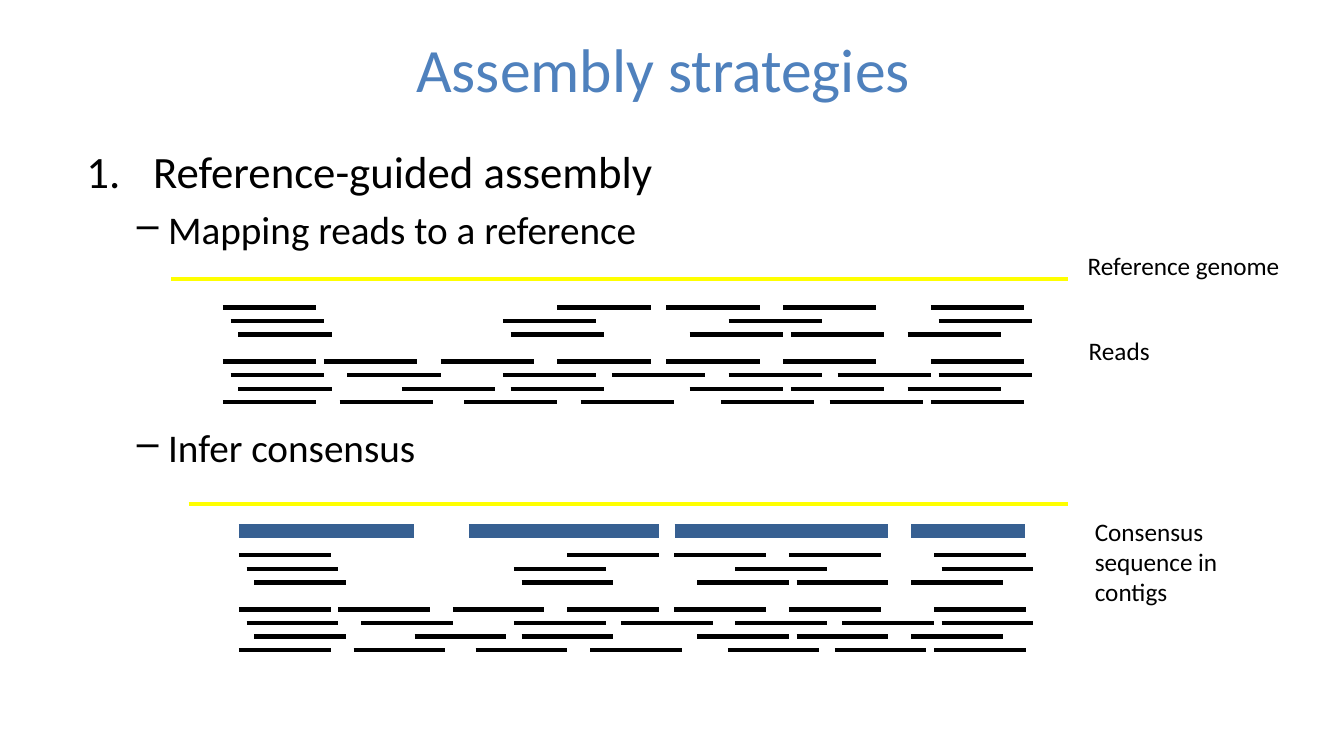
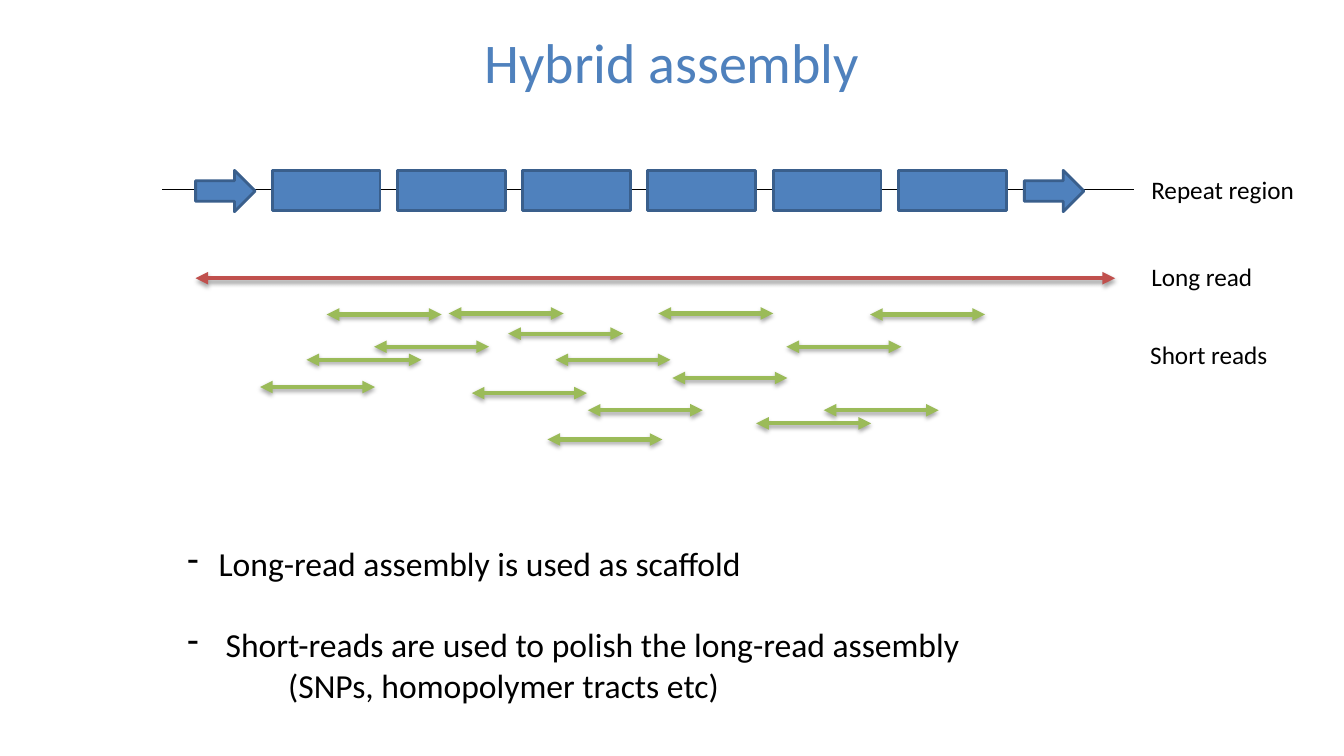
from pptx import Presentation
from pptx.dml.color import RGBColor
from pptx.enum.shapes import MSO_CONNECTOR, MSO_SHAPE
from pptx.enum.text import MSO_ANCHOR, PP_ALIGN
from pptx.oxml import parse_xml
from pptx.oxml.ns import nsdecls, qn
from pptx.util import Inches, Pt

COLORS = {
    "text": "000000",
    "title": "4F81BD",
    "reference": "FFFF00",
    "contig": "376092",
    "repeat": "4F81BD",
    "repeat_line": "3A5F8C",
    "long_read": "C0504D",
    "short_read": "9BBB59",
}
FONT = "Calibri"
SHADOW = (
    '<a:outerShdw blurRad="39370" dist="22860" dir="5400000" rotWithShape="0">'
    '<a:srgbClr val="000000"><a:alpha val="35000"/></a:srgbClr></a:outerShdw>'
)


def add_text(slide, box, items, color="text", centered=False):
    """Each item is (text, size, bullet XML, left margin, hanging indent, space before)."""
    shape = slide.shapes.add_textbox(*[Inches(value) for value in box])
    frame = shape.text_frame
    frame.word_wrap = True
    if centered:
        frame.vertical_anchor = MSO_ANCHOR.MIDDLE
    for index, (text, size, bullet, margin, hanging, before) in enumerate(items):
        paragraph = frame.paragraphs[0] if index == 0 else frame.add_paragraph()
        properties = paragraph._p.get_or_add_pPr()
        properties.set("marL", str(Inches(margin)))
        properties.set("indent", str(-Inches(hanging)))
        if bullet:
            properties.append(parse_xml(bullet.replace("/>", f" {nsdecls('a')}/>")))
        paragraph.text = text
        paragraph.space_before = Pt(before)
        paragraph.alignment = PP_ALIGN.CENTER if centered else PP_ALIGN.LEFT
        paragraph.font.name = FONT
        paragraph.font.size = Pt(size)
        paragraph.font.color.rgb = RGBColor.from_string(COLORS[color])


def add_line(slide, left, right, y, color, width, arrows=False):
    """Horizontal line; with arrows it has two heads and a soft shadow."""
    connector = slide.shapes.add_connector(
        MSO_CONNECTOR.STRAIGHT, Inches(left), Inches(y), Inches(right), Inches(y))
    connector.line.color.rgb = RGBColor.from_string(COLORS[color])
    connector.line.width = Pt(width)
    properties = connector._element.spPr
    if arrows:
        for end in ("headEnd", "tailEnd"):
            properties.find(qn("a:ln")).append(
                parse_xml(f'<a:{end} {nsdecls("a")} type="triangle"/>'))
    effects = SHADOW if arrows else ""
    properties.append(parse_xml(f'<a:effectLst {nsdecls("a")}>{effects}</a:effectLst>'))


presentation = Presentation()
presentation.slide_width = Inches(13.33)
presentation.slide_height = Inches(7.5)

# Slides with their titles
slides = []
for title, size, box in [
    ("Assembly strategies", 44, (0.58, 0.05, 12, 1.25)),
    ("Hybrid assembly", 40, (0, -0.02, 13.33, 1.25)),
]:
    slide = presentation.slides.add_slide(presentation.slide_layouts[6])
    add_text(slide, box, [(title, size, None, 0, 0, 0)], "title", centered=True)
    slides.append(slide)
strategies, hybrid = slides

# Text blocks
number = '<a:buAutoNum type="arabicPeriod"/>'
long_dash = '<a:buChar char="–"/>'
short_dash = '<a:buChar char="-"/>'
add_text(strategies, (0.76, 1.38, 9.83, 3.95), [
    ("Reference-guided assembly", 32, number, 0.66, 0.66, 0),
    ("Mapping reads to a reference", 28, long_dash, 0.81, 0.31, 5.6),
    ("Infer consensus", 28, long_dash, 0.81, 0.31, 122),
])
add_text(hybrid, (1.76, 5.34, 9.35, 1.72), [
    ("Long-read assembly is used as scaffold", 24, short_dash, 0.31, 0.31, 0),
    ("Short-reads are used to polish the long-read assembly", 24, short_dash, 0.38, 0.38, 29),
    ("(SNPs, homopolymer tracts etc)", 24, None, 1, 0, 0),
])

# Labels on the right
for slide, text, box in [
    (strategies, "Reference genome", (10.69, 2.43, 2.17, 0.4)),
    (strategies, "Reads", (10.7, 3.28, 1.83, 0.4)),
    (strategies, "Consensus sequence in contigs", (10.76, 5.07, 1.71, 1.01)),
    (hybrid, "Repeat region", (11.32, 1.68, 1.88, 0.4)),
    (hybrid, "Long read", (11.32, 2.54, 1.72, 0.4)),
    (hybrid, "Short reads", (11.31, 3.32, 1.43, 0.4)),
]:
    add_text(slide, box, [(text, 18, None, 0, 0, 0)])

# Mapped reads: row number and read starts, in grid units
READ_ROWS = {
    0: [0, 43, 57, 72, 91],
    1: [1, 36, 65, 92],
    2: [2, 37, 60, 73, 88],
    4: [0, 13, 28, 43, 57, 72, 91],
    5: [1, 16, 36, 50, 65, 79, 92],
    6: [2, 23, 37, 60, 73, 88],
    7: [0, 15, 31, 46, 64, 78, 91],
}
READ_UNITS = 12
ROW_STEP = 0.94 / 7
for left, last_start, top, reference_left, reference_y in [
    (2.21, 9.31, 3.05, 1.7, 2.77),
    (2.37, 9.34, 5.51, 1.87, 5),
]:
    unit = (last_start - left) / 92
    for row, starts in READ_ROWS.items():
        for start in starts:
            read_left = left + start * unit
            add_line(strategies, read_left, read_left + READ_UNITS * unit,
                     top + row * ROW_STEP, "text", 3)
    add_line(strategies, reference_left, 10.59, reference_y, "reference", 3)

# Consensus contigs
for left, right in [(2.37, 4.11), (4.65, 6.54), (6.69, 8.81), (9.04, 10.17)]:
    add_line(strategies, left, right, 5.27, "contig", 10)

# Repeat region: flanking arrows and six repeats
add_line(hybrid, 1.61, 11.25, 1.88, "text", 0.75)
REPEAT_STEP = (8.91 - 2.7) / 5
parts = [(MSO_SHAPE.RECTANGLE, 2.7 + index * REPEAT_STEP, 1.07, 0.4) for index in range(6)]
parts += [(MSO_SHAPE.RIGHT_ARROW, left, 0.59, 0.41) for left in (1.94, 10.16)]
for kind, left, width, height in parts:
    shape = hybrid.shapes.add_shape(
        kind, Inches(left), Inches(1.69), Inches(width), Inches(height))
    shape.shadow.inherit = False
    shape.fill.solid()
    shape.fill.fore_color.rgb = RGBColor.from_string(COLORS["repeat"])
    shape.line.color.rgb = RGBColor.from_string(COLORS["repeat_line"])
    shape.line.width = Pt(2)

# Long read and short reads
add_line(hybrid, 1.94, 11.06, 2.76, "long_read", 3, arrows=True)
SHORT_READ_LENGTH = 1.14
for left, y in [
    (3.04, 3.57), (2.58, 3.84), (5.83, 4.07), (5.04, 3.31), (3.71, 3.44), (3.24, 3.12),
    (8.17, 4.07), (5.43, 4.36), (4.68, 3.9), (8.63, 3.12), (7.8, 3.44), (7.5, 4.2),
    (6.53, 3.11), (5.51, 3.57), (6.67, 3.75), (4.45, 3.11),
]:
    add_line(hybrid, left, left + SHORT_READ_LENGTH, y, "short_read", 3, arrows=True)

presentation.save("out.pptx")
